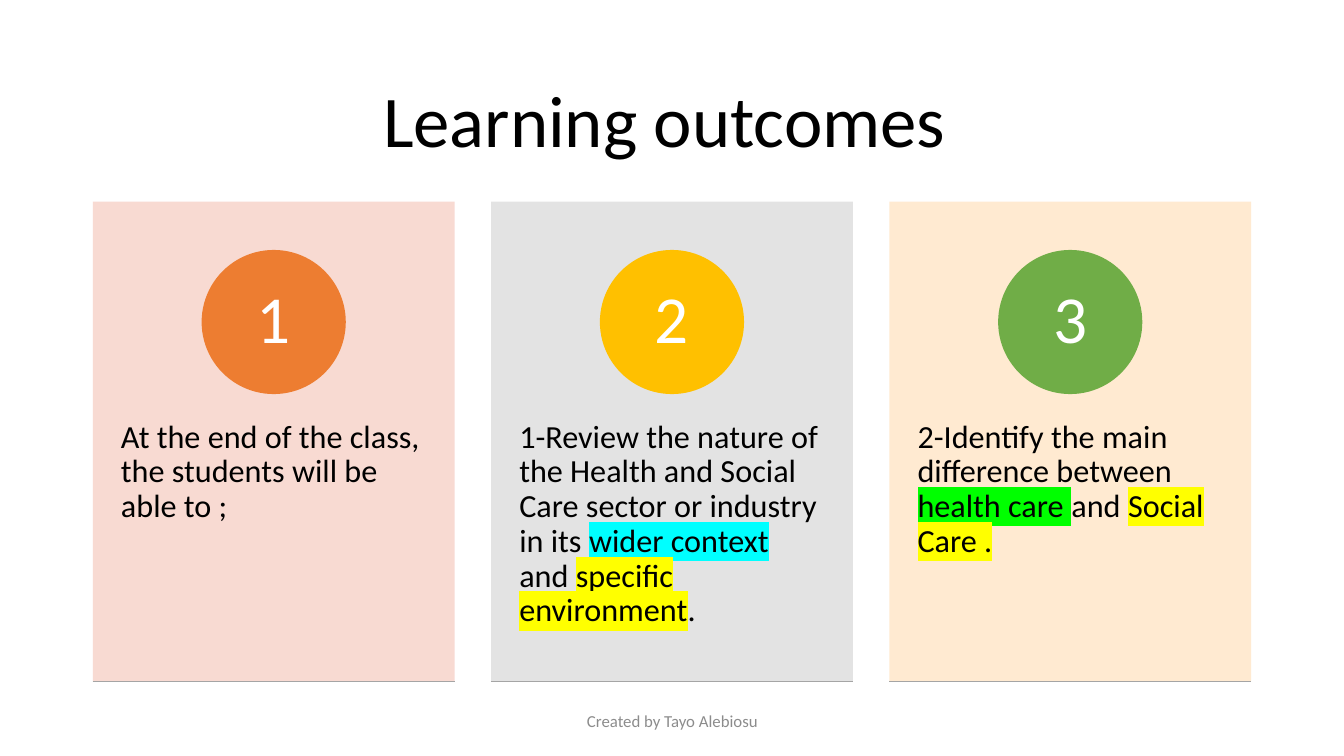
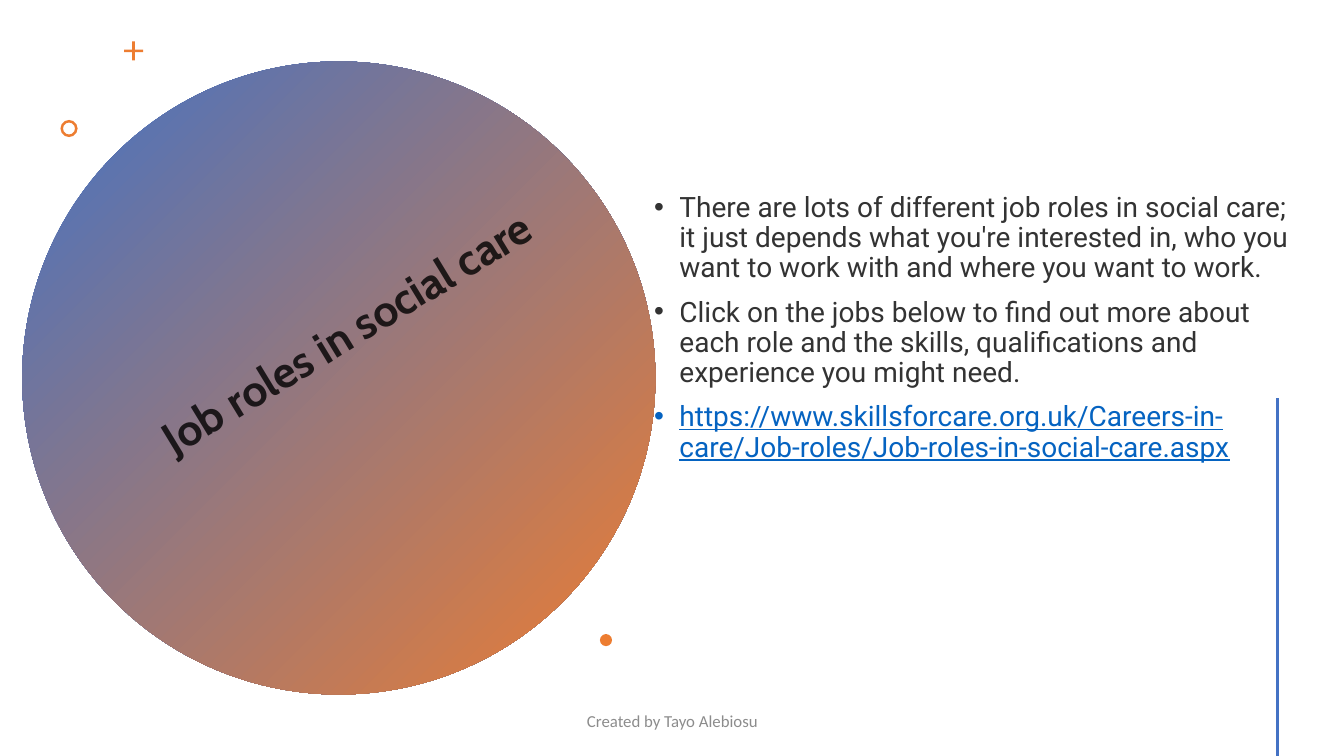
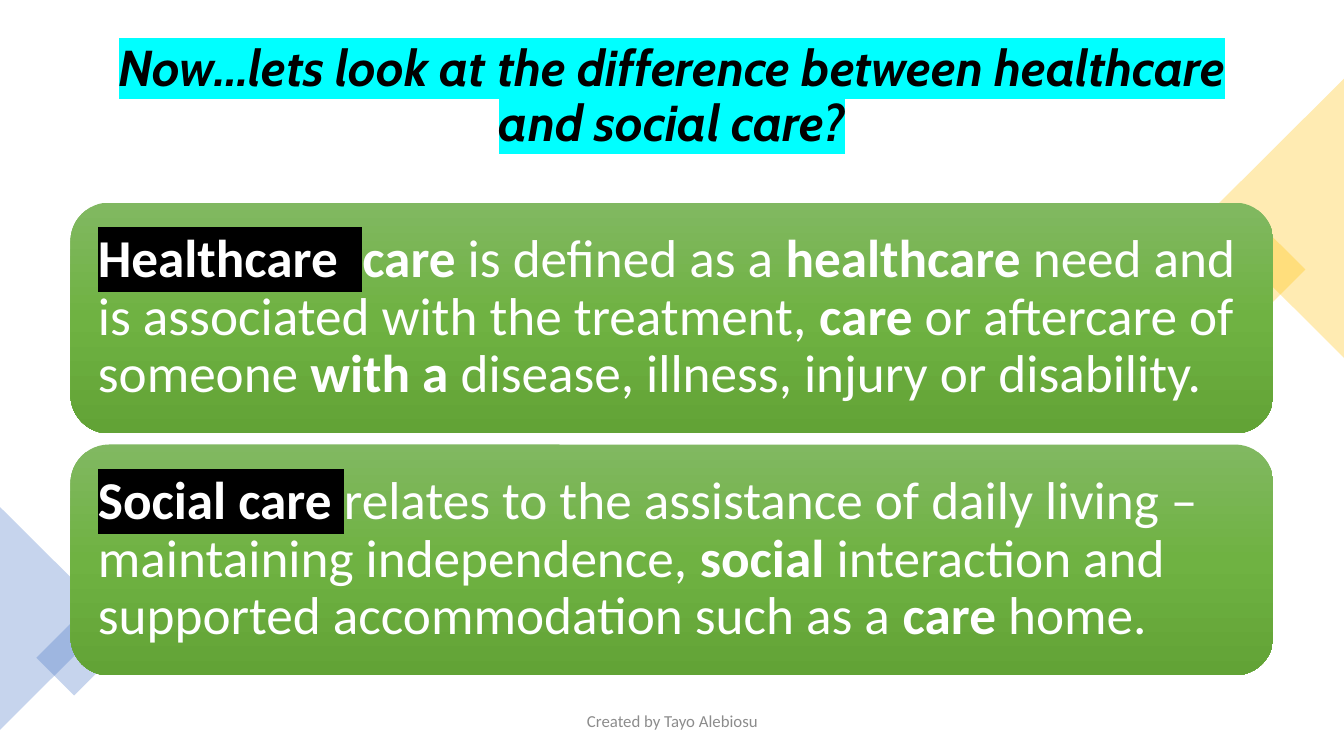
from lxml import etree
from pptx import Presentation
from pptx.dml.color import RGBColor
from pptx.enum import shapes, text
from pptx.oxml import ns
from pptx.util import Inches, Pt

BLACK, WHITE, GREY, FOOTER_GREY = "000000", "FFFFFF", "A5A5A5", "8C8C8C"
BLUE, ORANGE, GOLD, GREEN = "4472C4", "ED7D31", "FFC000", "70AD47"
LINK, CYAN, YELLOW, LIME = "0563C1", "00FFFF", "FFFF00", "00FF00"
SHAPE, ALIGN, ANCHOR = shapes.MSO_SHAPE, text.PP_ALIGN, text.MSO_ANCHOR

FOOTER = "Created by Tayo Alebiosu"

# A paragraph is a list of (text, changes to the base style).
OUTCOMES = [
    ("F8D7CE", ORANGE, [("At the end of the class, the students will be able to ;", {})]),
    ("E1E1E1", GOLD, [
        ("1-Review the nature of the Health and Social Care sector or industry in its ", {}),
        ("wider context ", {"highlight": CYAN}),
        ("and ", {}),
        ("specific environment", {"highlight": YELLOW}),
        (".", {}),
    ]),
    ("FFE8CC", GREEN, [
        ("2-Identify the main difference between ", {}),
        ("health care ", {"highlight": LIME}),
        ("and ", {}),
        ("Social Care .", {"highlight": YELLOW}),
    ]),
]

JOB_ROLES = [
    [("There are lots of different job roles in social care; it just depends what you're "
      "interested in, who you want to work with and where you want to work.", {})],
    [("Click on the jobs below to find out more about each role and the skills, "
      "qualifications and experience you might need.", {})],
    [("https://www.skillsforcare.org.uk/Careers-in-care/Job-roles/Job-roles-in-social-care.aspx",
      {"color": LINK, "alpha": 100, "underline": True})],
]

BOLD = {"bold": True}
TERM = {"bold": True, "highlight": BLACK}
DEFINITIONS = [
    [("Healthcare  ", TERM), ("care", BOLD), (" is defined as a ", {}), ("healthcare", BOLD),
     (" need and is associated with the treatment, ", {}), ("care", BOLD),
     (" or aftercare of someone ", {}), ("with a", BOLD),
     (" disease, illness, injury or disability.", {})],
    [("Social care ", TERM),
     ("relates to the assistance of daily living – maintaining independence, ", {}),
     ("social", BOLD), (" interaction and supported accommodation such as a ", {}),
     ("care", BOLD), (" home.", {})],
]
DEFINITION_STOPS = [(0, "81B861"), (50, "6FB242"), (100, "62A336")]

# Shape, left, top, width, height, rotation, colour
CORNERS = [
    (SHAPE.RECTANGLE, 12.09, 2.32, 0.71, 0.71, 45, GOLD),
    (SHAPE.ISOSCELES_TRIANGLE, 11.25, 1.47, 2.77, 1.39, 270, GOLD),
    (SHAPE.ISOSCELES_TRIANGLE, -0.55, 5.58, 2.21, 1.11, 90, BLUE),
    (SHAPE.RECTANGLE, 0.47, 6.26, 0.53, 0.53, 45, BLUE),
]

# Shape, left, top, size, adjustment
ORNAMENTS = [
    (SHAPE.CROSS, 1.23, 0.41, 0.19, 0.43),
    (SHAPE.DONUT, 0.6, 1.19, 0.17, 0.15),
    (SHAPE.OVAL, 5.95, 6.29, 0.12, None),
]


def rgb(value):
    return RGBColor.from_string(value)


def sub(parent, tag, **attributes):
    return etree.SubElement(parent, ns.qn(tag), attributes)


def set_alpha(element, percent):
    if percent < 100:
        sub(next(element.iter(ns.qn("a:srgbClr"))), "a:alpha", val=str(percent * 1000))


def format_run(run, size, font="Calibri", color=BLACK, alpha=100, bold=False,
               italic=False, underline=False, highlight=None):
    face = run.font
    face.size, face.name = Pt(size), font
    face.bold, face.italic, face.underline = bold, italic, underline
    face.color.rgb = rgb(color)
    fill = run._r.rPr.find(ns.qn("a:solidFill"))
    set_alpha(fill, alpha)
    if highlight:
        mark = etree.Element(ns.qn("a:highlight"))
        sub(mark, "a:srgbClr", val=highlight)
        fill.addnext(mark)


def write(shape, paragraphs, style, align=ALIGN.LEFT, anchor=ANCHOR.MIDDLE,
          margins=(0.1, 0.05, 0.1, 0.05), spacing=0.9, bullets=False):
    """Fill a shape with paragraphs; margins run left, top, right, bottom."""
    frame = shape.text_frame
    frame.word_wrap, frame.vertical_anchor = True, anchor
    (frame.margin_left, frame.margin_top,
     frame.margin_right, frame.margin_bottom) = map(Inches, margins)
    for index, runs in enumerate(paragraphs):
        paragraph = frame.paragraphs[0] if index == 0 else frame.add_paragraph()
        paragraph.alignment, paragraph.line_spacing = align, spacing
        if index:
            paragraph.space_before = Pt(10)
        if bullets:
            properties = paragraph._p.get_or_add_pPr()
            properties.set("marL", str(Inches(0.25)))
            properties.set("indent", str(Inches(-0.25)))
            sub(properties, "a:buFont", typeface="Arial")
            sub(properties, "a:buChar", char="•")
        for words, changes in runs:
            run = paragraph.add_run()
            run.text = words
            format_run(run, **{**style, **changes})


def add_text(slide, box, paragraphs, style, **layout):
    textbox = slide.shapes.add_textbox(*map(Inches, box))
    write(textbox, paragraphs, style, **layout)
    return textbox


def add_shape(slide, kind, box, color=None, alpha=100, rotation=0):
    shape = slide.shapes.add_shape(kind, *map(Inches, box))
    shape.shadow.inherit = False
    shape.line.fill.background()
    shape.rotation = rotation
    if color:
        shape.fill.solid()
        shape.fill.fore_color.rgb = rgb(color)
        set_alpha(shape._element.spPr, alpha)
    return shape


def add_gradient(shape, stops, angle):
    gradient = etree.Element(ns.qn("a:gradFill"), rotWithShape="1")
    stop_list = sub(gradient, "a:gsLst")
    for position, color in stops:
        stop = sub(stop_list, "a:gs", pos=str(position * 1000))
        sub(stop, "a:srgbClr", val=color)
    sub(gradient, "a:lin", ang=str(angle * 60000), scaled="0")
    shape._element.spPr.find(ns.qn("a:prstGeom")).addnext(gradient)


def add_line(slide, start, end, color, width):
    line = slide.shapes.add_connector(shapes.MSO_CONNECTOR.STRAIGHT,
                                      *map(Inches, start + end))
    line.line.color.rgb, line.line.width = rgb(color), Pt(width)
    sub(line._element.spPr, "a:effectLst")


def add_title(slide, box, title, **style):
    add_text(slide, box, [[(title, {})]], style, align=ALIGN.CENTER)


def add_footer(slide):
    add_text(slide, (4.42, 6.95, 4.5, 0.4), [[(FOOTER, {})]],
             {"size": 12, "color": FOOTER_GREY}, align=ALIGN.CENTER, spacing=1.0)


def build_outcomes(slide):
    add_title(slide, (0.92, 0.61, 11.5, 1.24), "Learning outcomes ", size=52)
    top, width, height, pitch, badge = 2, 3.59, 4.76, 3.95, 1.43
    for index, (tint, accent, outcome) in enumerate(OUTCOMES):
        left = 0.92 + index * pitch
        card = add_shape(slide, SHAPE.RECTANGLE, (left, top, width, height), tint, 90)
        write(card, [outcome], {"size": 23}, anchor=ANCHOR.TOP,
              margins=(0.28, 2.17, 0.28, 0.36))
        circle = add_shape(slide, SHAPE.OVAL,
                           (left + (width - badge) / 2, top + 0.48, badge, badge), accent)
        write(circle, [[(str(index + 1), {})]], {"size": 48, "color": WHITE},
              align=ALIGN.CENTER, margins=(0.11, 0.01, 0.11, 0.01))
        add_line(slide, (left, top + height), (left + width, top + height), GREY, 1)


def build_job_roles(slide):
    disc = add_shape(slide, SHAPE.OVAL, (0.22, 0.61, 6.28, 6.28))
    add_gradient(disc, [(0, BLUE), (100, ORANGE)], 45)
    for kind, left, top, size, adjustment in ORNAMENTS:
        ornament = add_shape(slide, kind, (left, top, size, size), ORANGE)
        if adjustment:
            ornament.adjustments[0] = adjustment
    add_text(slide, (6.39, 0.3, 6.58, 5.91), JOB_ROLES,
             {"size": 20, "font": "Roboto", "alpha": 80}, bullets=True)
    add_line(slide, (12.67, 3.95), (12.67, 7.5), BLUE, 2)
    heading = add_text(slide, (1.22, 2.9, 4.68, 0.64), [[("Job roles in social care", {})]],
                       {"size": 32, "font": "Cabin", "alpha": 80, "bold": True},
                       anchor=ANCHOR.TOP, spacing=1.0)
    heading.rotation = 328.7


def build_difference(slide):
    add_title(slide, (0.7, 0.35, 11.93, 1.24),
              "Now…lets look at the difference between healthcare and social care?",
              size=36, font="Cabin", bold=True, italic=True, highlight=CYAN)
    for kind, left, top, width, height, rotation, color in CORNERS:
        add_shape(slide, kind, (left, top, width, height), color, 30, rotation)
    for index, definition in enumerate(DEFINITIONS):
        panel = add_shape(slide, SHAPE.ROUNDED_RECTANGLE, (0.7, 2.01 + index * 2.4, 11.93, 2.29))
        add_gradient(panel, DEFINITION_STOPS, 90)
        write(panel, [definition], {"size": 38, "color": WHITE}, margins=(0.16,) * 4)


def main():
    deck = Presentation()
    deck.slide_width, deck.slide_height = Inches(13.33), Inches(7.5)
    for build in (build_outcomes, build_job_roles, build_difference):
        slide = deck.slides.add_slide(deck.slide_layouts[6])
        build(slide)
        add_footer(slide)
    deck.save("out.pptx")


if __name__ == "__main__":
    main()
